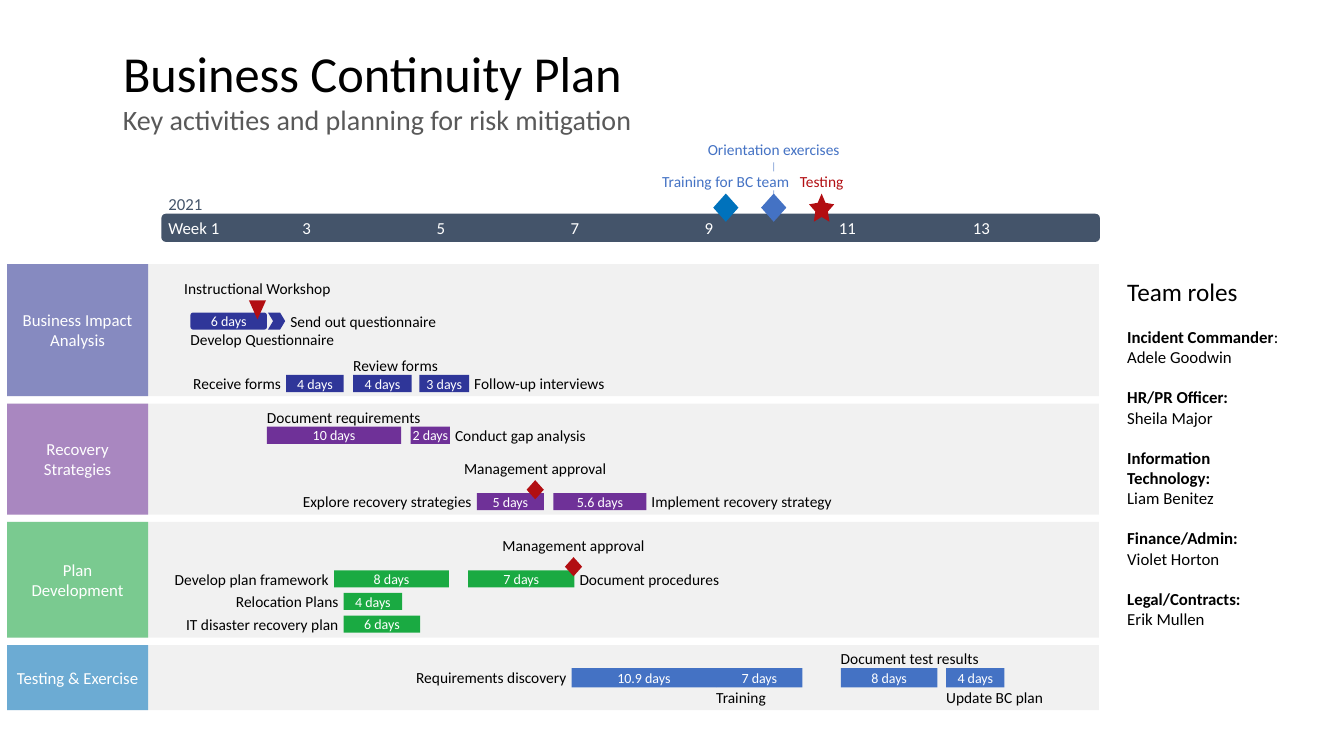
from dataclasses import dataclass
from typing import NamedTuple

from lxml.etree import SubElement
from pptx import Presentation
from pptx.dml.color import RGBColor
from pptx.enum.shapes import MSO_CONNECTOR, MSO_SHAPE
from pptx.enum.text import MSO_ANCHOR, MSO_AUTO_SIZE, PP_ALIGN
from pptx.oxml.ns import qn
from pptx.util import Inches, Pt


@dataclass(frozen=True)
class Theme:
    font: str = "Calibri"
    ink: str = "000000"
    muted: str = "595959"
    paper: str = "FFFFFF"
    band: str = "A5A5A5"
    ruler: str = "44546A"
    alert: str = "B20E12"
    blue: str = "4472C4"
    azure: str = "0072BC"
    navy: str = "2F3699"
    purple: str = "6F3198"
    green: str = "1AAA42"
    title: int = 36
    subtitle: int = 20
    heading: int = 18
    body: int = 12
    label: int = 11
    duration: int = 10


@dataclass(frozen=True)
class Grid:
    """Columns are calendar days from week 1; rows are label heights."""
    left: float = 1.67
    day: float = 0.095
    row: float = 0.19
    lanes_left: float = 0.07
    lanes_top: float = 2.62
    lanes_width: float = 10.83
    name_width: float = 1.4
    lane_gap: float = 0.38
    label_gap: float = 0.05
    label_slack: float = 0.8

    def x(self, day: float) -> float:
        return self.left + day * self.day

    def label_width(self, days: float) -> float:
        return (days + self.label_slack) * self.day


class Task(NamedTuple):
    row: float
    start: float
    days: float
    duration: str
    label: str
    side: str
    label_days: float
    outline: MSO_SHAPE = MSO_SHAPE.RECTANGLE


class Milestone(NamedTuple):
    row: float
    day: float
    label: str
    label_days: float
    outline: MSO_SHAPE


class Lane(NamedTuple):
    name: str
    rows: float
    name_color: str
    bar_color: str
    bar_height: float
    tasks: list[Task]
    milestones: list[Milestone]


class KeyEvent(NamedTuple):
    day: float
    label: str
    label_days: float
    label_top: float
    outline: MSO_SHAPE
    color: str
    label_color: str


class Role(NamedTuple):
    title: str
    person: str
    plain_ending: str = ""


THEME, GRID = Theme(), Grid()
ROUNDED, CHEVRON, DIAMOND = MSO_SHAPE.ROUNDED_RECTANGLE, MSO_SHAPE.CHEVRON, MSO_SHAPE.DIAMOND
TRIANGLE, STAR = MSO_SHAPE.ISOSCELES_TRIANGLE, MSO_SHAPE.STAR_5_POINT

LANES = [
    Lane("Business Impact Analysis", 6.9, THEME.navy, THEME.navy, 0.17, [
        Task(2.53, 2.3, 8, "6 days", "Develop Questionnaire", "below", 15.1, ROUNDED),
        Task(2.53, 10.4, 1.8, "", "Send out questionnaire", "right", 15.2, CHEVRON),
        Task(5.79, 12.3, 6, "4 days", "Receive forms", "left", 9.3),
        Task(5.79, 19.3, 6.1, "4 days", "Review forms", "above", 8.9),
        Task(5.79, 26.2, 5.2, "3 days", "Follow-up interviews", "right", 13.6),
    ], [Milestone(1.89, 9.3, "Instructional Workshop", 15.4, TRIANGLE)]),
    Lane("Recovery\nStrategies", 5.8, THEME.purple, THEME.purple, 0.17, [
        Task(1.21, 10.3, 14, "10 days", "Document requirements", "above", 16.1),
        Task(1.21, 25.3, 4.1, "2 days", "Conduct gap analysis", "right", 13.8),
        Task(4.68, 32.2, 7, "5 days", "Explore recovery strategies", "left", 17.7),
        Task(4.68, 40.2, 9.7, "5.6 days", "Implement recovery strategy", "right", 18.8),
    ], [Milestone(4, 38.3, "Management approval", 14.9, DIAMOND)]),
    Lane("Plan\nDevelopment", 6.05, THEME.green, THEME.green, 0.17, [
        Task(2.53, 17.3, 12, "8 days", "Develop plan framework", "left", 16.1),
        Task(3.71, 18.3, 6.1, "4 days", "Relocation Plans", "left", 10.8),
        Task(4.89, 18.3, 8, "6 days", "IT disaster recovery plan", "left", 15.9),
        Task(2.53, 31.3, 11.1, "7 days", "Document procedures", "right", 14.9),
    ], [Milestone(1.84, 42.3, "Management approval", 14.9, DIAMOND)]),
    Lane("Testing & Exercise", 3.4, THEME.azure, THEME.blue, 0.19, [
        Task(1.21, 42.1, 15.1, "10.9 days", "Requirements discovery", "left", 15.8),
        Task(1.21, 70.2, 10.1, "8 days", "Document test results", "above", 14.5),
        Task(1.21, 81.2, 6.1, "4 days", "Update BC plan", "below", 10.5),
        Task(1.21, 57.2, 9, "7 days", "Training", "below", 5.3),
    ], []),
]
KEY_EVENTS = [
    KeyEvent(68.2, "Testing", 4.7, 1.7, STAR, THEME.alert, THEME.alert),
    KeyEvent(58.2, "Training for BC team", 13.3, 1.7, DIAMOND, THEME.azure, THEME.blue),
    KeyEvent(63.2, "Orientation exercises", 13.8, 1.39, DIAMOND, THEME.blue, THEME.blue),
]
ROLES = [
    Role("Incident Commander", "Adele Goodwin", ":"),
    Role("HR/PR Officer:", "Sheila Major"),
    Role("Information Technology:", "Liam Benitez"),
    Role("Finance/Admin:", "Violet Horton"),
    Role("Legal/Contracts:", "Erik Mullen"),
]


def style(paragraph, size: int, color: str, align=PP_ALIGN.LEFT, bold: bool = False) -> None:
    paragraph.alignment = align
    font = paragraph.font
    font.name, font.size, font.bold = THEME.font, Pt(size), bold
    font.color.rgb = RGBColor.from_string(color)


def write(frame, text: str, size: int, color: str, align=PP_ALIGN.LEFT, inset: float = 0) -> None:
    frame.text = text
    frame.word_wrap = True
    frame.auto_size = MSO_AUTO_SIZE.NONE
    frame.vertical_anchor = MSO_ANCHOR.MIDDLE
    frame.margin_left = frame.margin_right = Inches(inset)
    frame.margin_top = frame.margin_bottom = Inches(inset / 2)
    for paragraph in frame.paragraphs:
        style(paragraph, size, color, align)


def add_label(slide, text: str, x: float, y: float, width: float, color: str = THEME.ink,
              align=PP_ALIGN.LEFT, size: int = THEME.label, height: float = GRID.row):
    box = slide.shapes.add_textbox(Inches(x), Inches(y), Inches(width), Inches(height))
    write(box.text_frame, text, size, color, align)
    return box


def set_alpha(holder, percent: int) -> None:
    color = holder._element.spPr.find(".//" + qn("a:srgbClr"))
    SubElement(color, qn("a:alpha")).set("val", str(percent * 1000))


def add_block(slide, outline, x: float, y: float, width: float, height: float, color: str,
              text: str = "", size: int = THEME.body, alpha: int = 100):
    block = slide.shapes.add_shape(outline, Inches(x), Inches(y), Inches(width), Inches(height))
    block.shadow.inherit = False
    block.fill.solid()
    block.fill.fore_color.rgb = RGBColor.from_string(color)
    block.line.fill.background()
    if alpha < 100:
        set_alpha(block, alpha)
    if text:
        write(block.text_frame, text, size, THEME.paper, PP_ALIGN.CENTER)
    return block


def add_leader(slide, x: float, top: float, bottom: float) -> None:
    leader = slide.shapes.add_connector(
        MSO_CONNECTOR.STRAIGHT, Inches(x), Inches(top), Inches(x), Inches(bottom))
    leader.line.color.rgb = RGBColor.from_string(THEME.blue)
    leader.line.width = Pt(0.75)
    set_alpha(leader, 50)
    SubElement(leader._element.spPr, qn("a:effectLst"))


def add_task(slide, task: Task, lane: Lane, lane_top: float) -> None:
    x, y = GRID.x(task.start), lane_top + task.row * GRID.row
    width, label_width = task.days * GRID.day, GRID.label_width(task.label_days)
    bar = add_block(slide, task.outline, x, y, width, lane.bar_height, lane.bar_color,
                    task.duration, THEME.duration)
    if task.outline == CHEVRON:
        bar.adjustments[0] = 0.3
    beside = y + (lane.bar_height - GRID.row) / 2
    label_x, label_y = {
        "left": (x - GRID.label_gap - label_width, beside),
        "right": (x + width + GRID.label_gap, beside),
        "above": (x, y - GRID.row),
        "below": (x, y + lane.bar_height),
    }[task.side]
    align = PP_ALIGN.RIGHT if task.side == "left" else PP_ALIGN.LEFT
    add_label(slide, task.label, label_x, label_y, label_width, align=align)


def add_marker(slide, day: float, top: float, width: float, height: float, outline, color: str,
               label: str, label_days: float, label_top: float, label_color: str) -> None:
    marker = add_block(slide, outline, GRID.x(day) - width / 2, top, width, height, color)
    if outline == TRIANGLE:
        marker.rotation = 180
    elif outline == STAR:
        marker.adjustments[0] = 0.25
    label_width = GRID.label_width(label_days)
    add_label(slide, label, GRID.x(day) - label_width / 2, label_top, label_width,
              label_color, PP_ALIGN.CENTER)


def add_lane(slide, lane: Lane, top: float) -> None:
    height = lane.rows * GRID.row
    add_block(slide, MSO_SHAPE.RECTANGLE, GRID.lanes_left, top, GRID.lanes_width, height,
              THEME.band, alpha=15)
    add_block(slide, MSO_SHAPE.RECTANGLE, GRID.lanes_left, top, GRID.name_width, height,
              lane.name_color, lane.name, alpha=55)
    for task in lane.tasks:
        add_task(slide, task, lane, top)
    for stone in lane.milestones:
        y = top + stone.row * GRID.row
        add_marker(slide, stone.day, y, 0.17, 0.19, stone.outline, THEME.alert,
                   stone.label, stone.label_days, y - 0.21, THEME.ink)


def add_timeline(slide) -> None:
    add_label(slide, "2021", GRID.left, 1.93, 0.4, THEME.ruler, size=THEME.body)
    add_block(slide, ROUNDED, 1.6, 2.12, 9.31, 0.28, THEME.ruler)
    for week in range(1, 14, 2):
        add_label(slide, f"Week {week}" if week == 1 else str(week),
                  GRID.x((week - 1) * 7), 2.16, 0.6 if week == 1 else 0.2,
                  THEME.paper, size=THEME.body)
    for top, bottom in ((1.61, 1.7), (1.89, 2.06)):
        add_leader(slide, GRID.x(63.2), top, bottom)
    for event in KEY_EVENTS:
        add_marker(slide, event.day, 1.92, 0.25, 0.28, event.outline, event.color,
                   event.label, event.label_days, event.label_top, event.label_color)


def place(shape, x: float, y: float, width: float, height: float) -> None:
    shape.left, shape.top, shape.width, shape.height = map(Inches, (x, y, width, height))


def fill_roles(panel) -> None:
    place(panel, 11.08, 2.69, 1.86, 3.64)
    frame = panel.text_frame
    write(frame, "Team roles", THEME.heading, THEME.ink, inset=0.1)
    frame.vertical_anchor = MSO_ANCHOR.TOP
    for role in ROLES:
        for text, bold in ((role.title, True), (role.person, False)):
            line = frame.add_paragraph()
            line.add_run().text = text
            if bold and role.plain_ending:
                ending = line.add_run()
                ending.text, ending.font.bold = role.plain_ending, False
            style(line, THEME.body, THEME.ink, bold=bold)
            line.space_before = Pt(14.4 if bold else 0)
    frame.paragraphs[0].space_before = Pt(0)
    for line in frame.paragraphs:
        properties = line._p.get_or_add_pPr()
        properties.set("marL", "0")
        properties.set("indent", "0")
        bullet = SubElement(properties, qn("a:buNone"))
        properties.find(qn("a:defRPr")).addprevious(bullet)


def main() -> None:
    deck = Presentation()
    deck.slide_width, deck.slide_height = Inches(13.33), Inches(7.5)
    slide = deck.slides.add_slide(deck.slide_layouts[1])

    # Heading
    place(slide.shapes.title, 1.12, 0.36, 8.09, 0.71)
    write(slide.shapes.title.text_frame, "Business Continuity Plan", THEME.title, THEME.ink, inset=0.1)
    subtitle = add_label(slide, "", 1.12, 0.96, 7.8, height=0.44)
    write(subtitle.text_frame, "Key activities and planning for risk mitigation",
          THEME.subtitle, THEME.muted, inset=0.1)

    # Timeline and lanes
    add_timeline(slide)
    top = GRID.lanes_top
    for lane in LANES:
        add_lane(slide, lane, top)
        top += (lane.rows + GRID.lane_gap) * GRID.row

    # Team roles
    fill_roles(slide.placeholders[1])
    deck.save("out.pptx")


if __name__ == "__main__":
    main()
